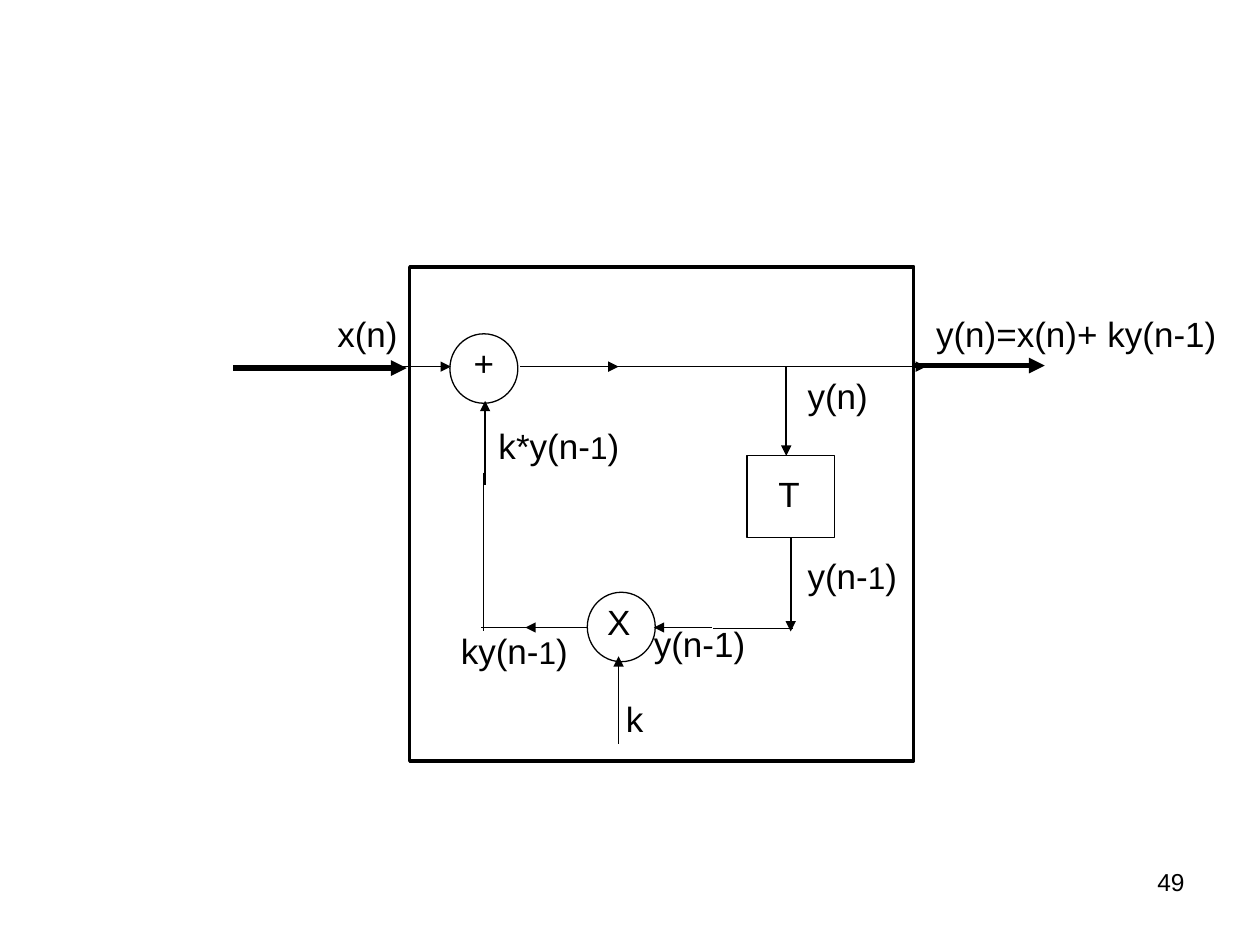
from dataclasses import dataclass

import pptx
import pptx.dml.color
import pptx.enum.shapes
import pptx.enum.text
import pptx.oxml.ns
import pptx.util
from lxml import etree

Cm = pptx.util.Cm
Pt = pptx.util.Pt
SHAPES = pptx.enum.shapes.MSO_SHAPE
ALIGN = pptx.enum.text.PP_ALIGN
AUTO_SIZE = pptx.enum.text.MSO_AUTO_SIZE
qn = pptx.oxml.ns.qn


@dataclass(frozen=True)
class Theme:
    font: str = "Arial"
    ink: pptx.dml.color.RGBColor = pptx.dml.color.RGBColor(0, 0, 0)
    label: int = 20
    digit: int = 18
    page: int = 14
    thin: float = 0.75
    signal: float = 1
    frame: float = 2
    port: float = 3


class Diagram:
    def __init__(self, slide, theme):
        self.slide = slide
        self.theme = theme

    def apply(self, target, values):
        for name, value in values.items():
            setattr(target, name, value)

    def style_line(self, line, weight):
        line.color.rgb = self.theme.ink
        line.width = Pt(weight)

    def outline(self, kind, left, top, width, height, weight):
        shape = self.slide.shapes.add_shape(
            kind, Cm(left), Cm(top), Cm(width), Cm(height))
        shape.shadow.inherit = False
        shape.fill.background()
        self.style_line(shape.line, weight)
        return shape

    def node(self, left, top):
        return self.outline(SHAPES.OVAL, left, top, 1.37, 1.4, self.theme.thin)

    def line(self, start, end, weight, arrow=True, source=None):
        connector = self.slide.shapes.add_connector(
            pptx.enum.shapes.MSO_CONNECTOR.STRAIGHT,
            *(Cm(value) for value in (*start, *end)))
        if source is not None:
            connector.begin_connect(source, 2)
        self.style_line(connector.line, weight)
        if arrow:
            outline = connector.line._get_or_add_ln()
            etree.SubElement(outline, qn("a:tailEnd"), type="triangle")
        etree.SubElement(connector._element.spPr, qn("a:effectLst"))
        return connector

    def text(self, runs, left, top, width, height, frame_format, align):
        box = self.slide.shapes.add_textbox(
            Cm(left), Cm(top), Cm(width), Cm(height))
        self.apply(box.text_frame, frame_format)
        paragraph = box.text_frame.paragraphs[0]
        paragraph.alignment = align
        for words, size in runs:
            run = paragraph.add_run()
            run.text = words
            self.apply(run.font, {"name": self.theme.font, "size": Pt(size)})
            run.font.color.rgb = self.theme.ink
        return box

    def label(self, words, left, top, width, height=1.27, small_digit=False):
        runs = [(words, self.theme.label)]
        if small_digit:
            before, after = words.split("1")
            runs = [(before, self.theme.label), ("1", self.theme.digit),
                    (after, self.theme.label)]
        frame_format = {"word_wrap": False,
                        "auto_size": AUTO_SIZE.SHAPE_TO_FIT_TEXT}
        return self.text(runs, left, top, width, height, frame_format, ALIGN.LEFT)

    def page_number(self, words):
        return self.text([(words, self.theme.page)], 18.21, 17.35, 5.92, 1.32,
                         {"word_wrap": True}, ALIGN.RIGHT)


def main():
    presentation = pptx.Presentation()
    presentation.slide_width = Cm(25.4)
    presentation.slide_height = Cm(19.05)
    slide = presentation.slides.add_slide(presentation.slide_layouts[6])
    theme = Theme()
    diagram = Diagram(slide, theme)
    forward_y = 7.39
    feedback_y = 12.65

    diagram.page_number("49")
    diagram.outline(SHAPES.RECTANGLE, 8.26, 5.38, 10.16, 9.96, theme.frame)
    diagram.node(9.07, 6.73)
    diagram.node(11.84, 11.94)
    delay = diagram.outline(SHAPES.RECTANGLE, 15.06, 9.19, 1.76, 1.65, theme.thin)

    plain_lines = [
        ((9.75, 9.53), (9.75, 12.73)),
        ((14.38, 12.67), (15.98, 12.67)),
        ((9.7, feedback_y), (11, feedback_y)),
    ]
    for start, end in plain_lines:
        diagram.line(start, end, theme.thin, arrow=False)

    signal_arrows = [
        ((6.71, forward_y), (9.09, forward_y)),
        ((10.49, forward_y), (12.47, forward_y)),
        ((12.34, forward_y), (18.67, forward_y)),
        ((15.85, forward_y), (15.85, 9.19)),
        ((14.35, feedback_y), (13.18, feedback_y)),
        ((11.84, feedback_y), (10.59, feedback_y)),
        ((12.47, 14.99), (12.47, 13.23)),
        ((9.78, 9.78), (9.78, 8.08)),
    ]
    for start, end in signal_arrows:
        diagram.line(start, end, theme.signal)
    diagram.line((15.94, 10.84), (15.94, 12.73), theme.signal, source=delay)

    diagram.line((4.7, 7.42), (8.2, 7.42), theme.port)
    diagram.line((18.42, 7.37), (21.06, 7.37), theme.port)

    labels = [
        ("+", 9.3, 6.76, 0.99),
        ("X", 11.99, 11.99, 1.12),
        ("T", 15.44, 9.4, 1.02),
        ("x(n)", 6.55, 6.17, 1.93),
        ("y(n)", 16.03, 7.42, 1.93),
        ("y(n-1)", 12.93, 12.42, 2.62),
        ("k", 12.37, 13.94, 0.94),
        ("y(n)=x(n)+ ky(n-1)", 18.62, 6.17, 6.3, 1.09),
    ]
    for label in labels:
        diagram.label(*label)

    small_digit_labels = [
        ("k*y(n-1)", 9.8, 8.43, 3.38),
        ("y(n-1)", 16.03, 11.05, 2.51),
        ("ky(n-1)", 9.04, 12.57, 2.69, 1.12),
    ]
    for label in small_digit_labels:
        diagram.label(*label, small_digit=True)

    presentation.save("out.pptx")


if __name__ == "__main__":
    main()
